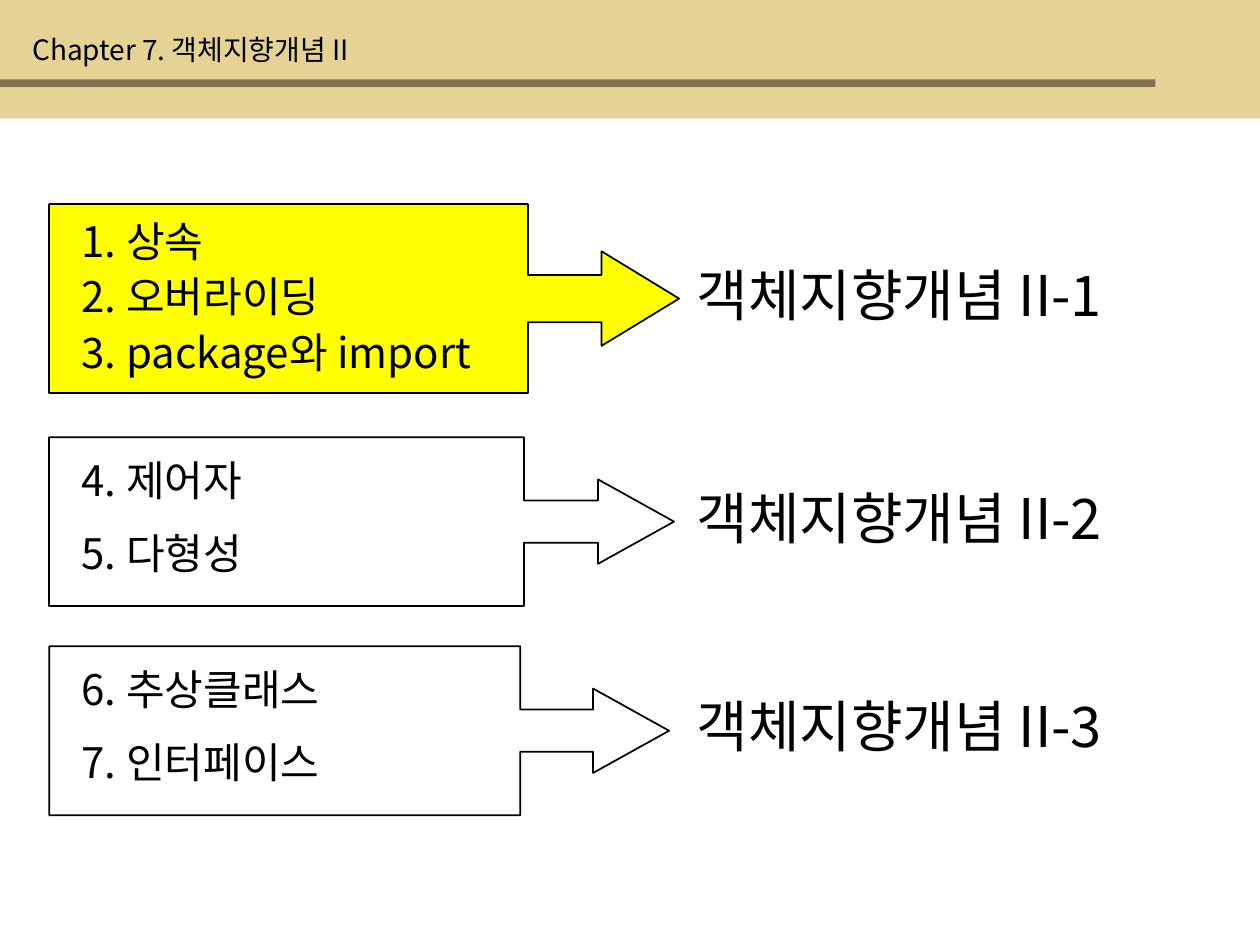
import pptx
import pptx.util
import pptx.dml.color
import pptx.enum.shapes
import pptx.enum.text
import pptx.oxml.ns
import lxml.etree
from dataclasses import dataclass

Inches = pptx.util.Inches
Kind = pptx.enum.shapes.MSO_SHAPE


@dataclass(frozen=True)
class Theme:
    font: str = "Noto Sans CJK KR"
    ink: str = "000000"
    band: str = "E4D394"
    rule: str = "817051"
    mark: str = "FFFF00"
    head: int = 16
    item: int = 24
    label: int = 32


theme = Theme()
deck = pptx.Presentation()
deck.slide_width, deck.slide_height = Inches(10), Inches(7.5)
slide = deck.slides.add_slide(deck.slide_layouts[6])


def add_form(kind, x, y, w, h, fill=None, line=None):
    form = slide.shapes.add_shape(kind, Inches(x), Inches(y), Inches(w), Inches(h))
    form.shadow.inherit = False
    if fill:
        form.fill.solid()
        form.fill.fore_color.rgb = pptx.dml.color.RGBColor.from_string(fill)
    else:
        form.fill.background()
    if line:
        form.line.color.rgb = pptx.dml.color.RGBColor.from_string(line)
        form.line.width = pptx.util.Pt(1)
    else:
        form.line.fill.background()
    return form


def add_text(text, x, y, w, h, size):
    box = slide.shapes.add_textbox(Inches(x), Inches(y), Inches(w), Inches(h))
    frame = box.text_frame
    frame.word_wrap = True
    frame.auto_size = pptx.enum.text.MSO_AUTO_SIZE.SHAPE_TO_FIT_TEXT
    run = frame.paragraphs[0].add_run()
    run.text = text
    run.font.size = pptx.util.Pt(size)
    run.font.color.rgb = pptx.dml.color.RGBColor.from_string(theme.ink)
    run.font.name = theme.font
    # Korean letters take the East Asian font
    east = lxml.etree.SubElement(run.font._element, pptx.oxml.ns.qn("a:ea"))
    east.set("typeface", theme.font)


# Header band, rule and chapter title
add_form(Kind.RECTANGLE, 0, 0, 10, 0.94, theme.band)
add_form(Kind.RECTANGLE, 0, 0.63, 9.17, 0.06, theme.rule)
add_text("Chapter 7. 객체지향개념 II", 0.16, 0.21, 4.33, 0.37, theme.head)

# Groups: callout top, width, height, head length, fill; label top; item top, step
groups = [
    (1.62, 5, 1.5, 0.41, theme.mark, 2.02, 1.66, 0.44,
     ["1. 상속", "2. 오버라이딩", "3. package와 import"]),
    (3.47, 4.96, 1.34, 0.45, None, 3.79, 3.56, 0.58,
     ["4. 제어자", "5. 다형성"]),
    (5.13, 4.92, 1.34, 0.45, None, 5.44, 5.22, 0.58,
     ["6. 추상클래스", "7. 인터페이스"]),
]
for num, (top, wide, high, tip, fill, mid, first, step, items) in enumerate(groups, 1):
    call = add_form(Kind.RIGHT_ARROW_CALLOUT, 0.39, top, wide, high, fill, theme.ink)
    for i, value in enumerate((0.25, 0.25, tip, 0.76)):
        call.adjustments[i] = value
    for i, item in enumerate(items):
        add_text(item, 0.55, first + i * step, 5.32, 0.5, theme.item)
    add_text(f"객체지향개념 II-{num}", 5.43, mid, 4.29, 0.64, theme.label)

deck.save("out.pptx")
